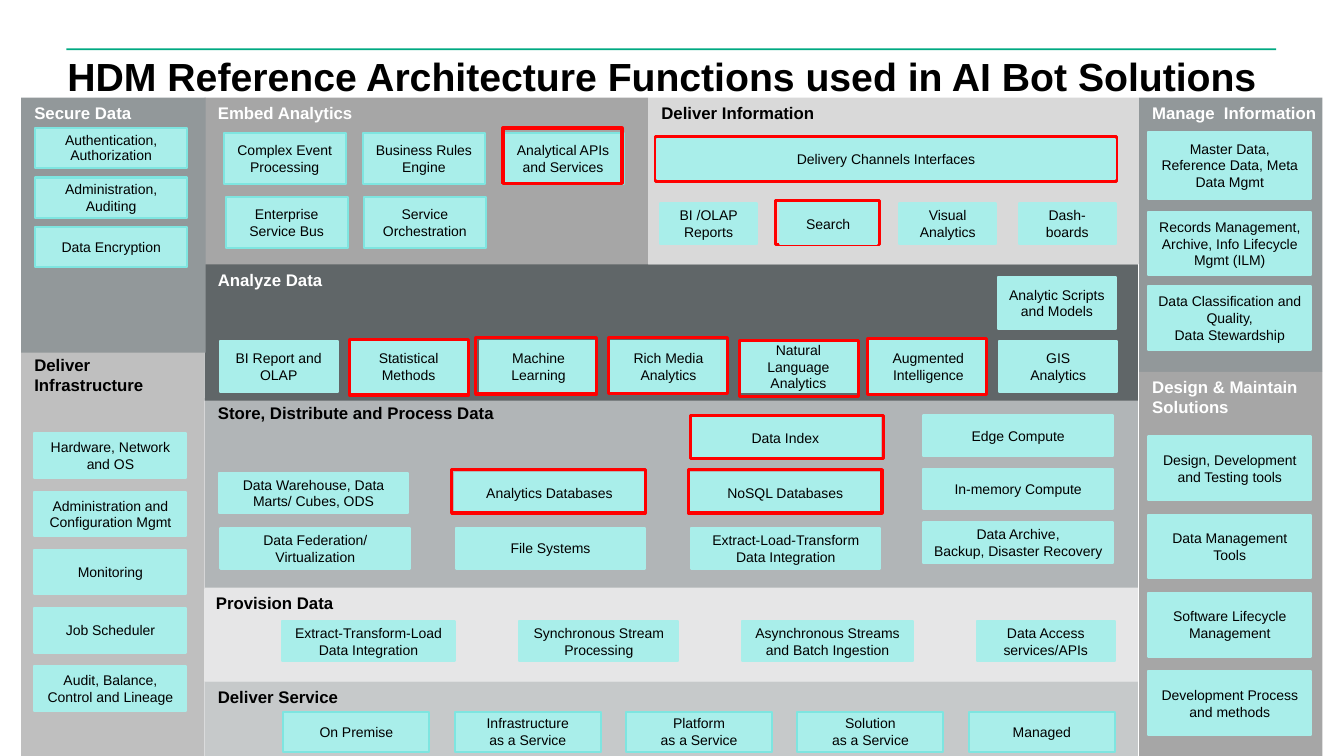
"""Build the HDM reference architecture slide with its functional blocks."""
from pptx import Presentation
from pptx import util as u
from pptx.dml import color
from pptx.enum import shapes, text


def rgb(value):
    return color.RGBColor.from_string(value)


def block(left, top, width, height, fill=None, line=None, weight=1.5,
          label="", size=10, ink="000000", heading=False, inset=7.2):
    box = page.shapes.add_shape(shapes.MSO_SHAPE.RECTANGLE, u.Pt(left), u.Pt(top),
                                u.Pt(width), u.Pt(height))
    box.shadow.inherit = False
    if fill:
        box.fill.solid()
        box.fill.fore_color.rgb = rgb(fill)
    else:
        box.fill.background()
    if line:
        box.line.color.rgb = rgb(line)
        box.line.width = u.Pt(weight)
    else:
        box.line.fill.background()
    if label:
        frame = box.text_frame
        frame.text = label
        frame.word_wrap = True
        frame.margin_left = u.Pt(inset)
        frame.margin_right = u.Pt(3.6 if heading else inset)
        frame.vertical_anchor = text.MSO_ANCHOR.TOP if heading else text.MSO_ANCHOR.MIDDLE
        for para in frame.paragraphs:
            para.alignment = text.PP_ALIGN.LEFT if heading else text.PP_ALIGN.CENTER
            for span in para.runs:
                span.font.name = "Arial"
                span.font.size = u.Pt(size)
                span.font.bold = heading
                span.font.color.rgb = rgb(ink)
    return box


AQUA, EDGE, RED = "A9EEEA", "7EE5E0", "FF0000"
BLACK, WHITE = "000000", "FFFFFF"

deck = Presentation()
deck.slide_width, deck.slide_height = u.Pt(960), u.Pt(540)
page = deck.slides.add_slide(deck.slide_layouts[6])

block(47.5, 34.5, 864, 1.4, "00A982")
title = page.shapes.add_textbox(u.Pt(48.2), u.Pt(41), u.Pt(864), u.Pt(67)).text_frame
title.word_wrap = True
title.margin_left = title.margin_right = title.margin_top = title.margin_bottom = 0
title.text = "HDM Reference Architecture Functions used in AI Bot Solutions"
title.paragraphs[0].line_spacing = 0.9
heading_font = title.paragraphs[0].runs[0].font
heading_font.name, heading_font.size, heading_font.bold = "Arial", u.Pt(28), True
heading_font.color.rgb = rgb(BLACK)

panels = [
    ("Deliver Service", 146.2, 486.7, 666.7, 53.3, "C6C9CA", BLACK, 9.4),
    ("Store, Distribute and Process Data", 146.2, 284.4, 666.7, 136.1, "B1B5B7", BLACK, 9.4),
    ("Embed Analytics", 146.2, 69.8, 316.8, 120.2, "A6A6A6", WHITE, 9.4),
    ("Analyze Data", 146.2, 188.9, 666.7, 97.2, "606668", WHITE, 9.4),
    ("Deliver Infrastructure", 15.1, 249.8, 131, 290.2, "BFBFBF", BLACK, 9.4),
    ("Manage  Information", 813.6, 69.8, 131, 195.8, "92989A", WHITE, 9.4),
    ("Provision Data", 146.2, 419.8, 666.7, 67, "E6E6E7", BLACK, 8),
    ("Design & Maintain Solutions", 813.6, 265.7, 131, 274.3, "A6A6A6", WHITE, 9.4),
    ("Deliver Information", 463, 69.8, 350.6, 119, "D9D9D9", BLACK, 9.4),
    ("Secure Data", 15.1, 69.8, 131.8, 182.2, "92989A", WHITE, 9.4),
]
for name, left, top, width, height, fill, ink, inset in panels:
    block(left, top, width, height, fill, label=name, size=12, ink=ink,
          heading=True, inset=inset)

# left, top, step across, step down, width, height, edge, labels
series = [
    (25, 91.4, 0, 35.4, 108.7, 28.8, EDGE,
     ["Authentication, Authorization", "Administration, Auditing", "Data Encryption"]),
    (202.3, 508.3, 122.4, 0, 104.4, 28.8, EDGE,
     ["On Premise", "Infrastructure\vas a Service", "Platform\vas a Service",
      "Solution\nas a Service", "Managed"]),
    (24.5, 309.6, 0, 41.6, 108.7, 31.7, AQUA,
     ["Hardware, Network\nand OS", "Administration and Configuration Mgmt", "Monitoring",
      "Job Scheduler", "Audit, Balance, Control and Lineage"]),
    (156.2, 337.7, 168.5, 0, 135.4, 28.8, AQUA,
     ["Data Warehouse, Data Marts/ Cubes, ODS", "Analytics Databases", "NoSQL Databases"]),
    (157.5, 377.3, 168, 0, 135.4, 28.8, AQUA,
     ["Data Federation/ Virtualization", "File Systems",
      "Extract-Load-Transform\nData Integration"]),
    (493.2, 298.1, 0, 0, 135.4, 28.8, AQUA, ["Data Index"]),
    (659.5, 296.8, 0, 38.2, 135.4, 28.8, AQUA,
     ["Edge Compute", "In-memory Compute", "Data Archive,\nBackup, Disaster Recovery"]),
    (157, 243.4, 92.8, 0, 84.2, 36.7, AQUA,
     ["BI Report and OLAP", "Statistical\nMethods", "Machine\nLearning",
      "Rich Media\nAnalytics", "Natural Language\nAnalytics", "Augmented Intelligence",
      "GIS\nAnalytics"]),
    (712.8, 198, 0, 0, 84.2, 36.7, AQUA, ["Analytic Scripts and Models"]),
    (159.8, 95, 99.4, 0, 87.1, 36.7, EDGE,
     ["Complex Event Processing", "Business Rules Engine", "Analytical APIs and Services"]),
    (161.2, 140.4, 98.7, 0, 87.1, 36.7, EDGE,
     ["Enterprise\nService Bus", "Service\nOrchestration"]),
    (820.1, 94.3, 0, 0, 116.6, 47.5, AQUA, ["Master Data, Reference Data, Meta Data Mgmt"]),
    (820.1, 151.2, 0, 53.3, 116.6, 45.4, AQUA,
     ["Records Management, Archive, Info Lifecycle Mgmt (ILM)",
      "Data Classification and Quality,\nData Stewardship"]),
    (820.1, 311.8, 0, 55.9, 116.6, 45.4, AQUA,
     ["Design, Development and Testing tools", "Data Management Tools",
      "Software Lifecycle Management", "Development Process and methods"]),
    (201.6, 443.5, 0, 0, 123.1, 28.8, AQUA, ["Extract-Transform-Load Data Integration"]),
    (370.8, 443.5, 0, 0, 113.8, 28.8, AQUA, ["Synchronous Stream Processing"]),
    (529.9, 443.5, 0, 0, 122.4, 28.8, AQUA, ["Asynchronous Streams\vand Batch Ingestion"]),
    (697.7, 443.5, 0, 0, 98.6, 28.8, AQUA, ["Data Access services/APIs"]),
]
information = [
    (471.6, 145.4, 85.4, 0, 69.1, 28.8, AQUA,
     ["BI /OLAP Reports", "Search", "Visual Analytics", "Dash-boards"]),
    (469.4, 99.4, 0, 0, 326.9, 28.8, AQUA, ["Delivery Channels Interfaces"]),
]
highlights = [
    (249.8, 242.6, 85, 39.6), (339.8, 241.2, 86.4, 40.3), (619.9, 241.9, 85, 39.6),
    (434.9, 241.2, 85, 39.6), (359.3, 91.4, 85, 39.6), (528.5, 243.4, 85, 39.6),
    (322.6, 335.5, 138.2, 31), (491.8, 335.5, 138.2, 31), (493.2, 296.6, 138.2, 31),
    (468, 97.2, 329.8, 32.4), (553.7, 143.3, 74.9, 31.7),
]
for group, outlines in ((series, highlights), (information, [])):
    for left, top, across, down, width, height, edge, labels in group:
        for index, label in enumerate(labels):
            box = block(left + index * across, top + index * down, width, height,
                        AQUA, edge, label=label)
            if label.startswith("Authentication"):
                box.text_frame.paragraphs[0].line_spacing = 0.9
    for outline in outlines:
        block(*outline, line=RED, weight=2.25)

deck.save("out.pptx")
